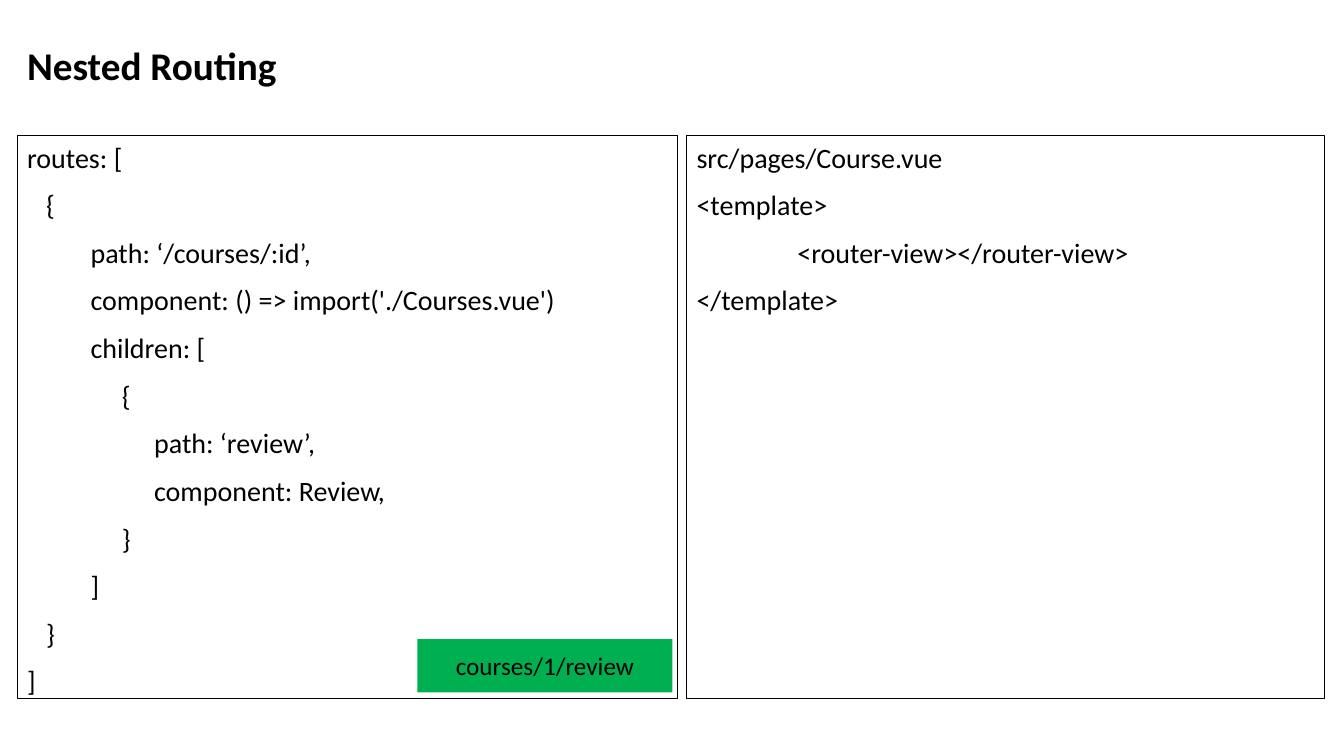
import pptx
import pptx.dml.color
import pptx.enum.shapes
import pptx.enum.text
import pptx.util

Inches = pptx.util.Inches
Pt = pptx.util.Pt
ANCHOR = pptx.enum.text.MSO_ANCHOR
ALIGN = pptx.enum.text.PP_ALIGN

BLACK = "000000"
GREEN = "00B050"
PANEL_TOP, PANEL_HEIGHT = 1.34, 5.59

# Each code line is (indent in inches, text)
BRACE, FIELD, CHILD, CHILD_FIELD = 0.19, 0.63, 0.94, 1.26
ROUTES = [
    (0, "routes: ["),
    (BRACE, "{"),
    (FIELD, "path: ‘/courses/:id’,"),
    (FIELD, "component: () => import('./Courses.vue')"),
    (FIELD, "children: ["),
    (CHILD, "{"),
    (CHILD_FIELD, "path: ‘review’,"),
    (CHILD_FIELD, "component: Review,"),
    (CHILD, "}"),
    (FIELD, "]"),
    (BRACE, "}"),
    (0, "]"),
]
COURSE_PAGE = [
    (0, "src/pages/Course.vue"),
    (0, "<template>"),
    (1, "<router-view></router-view>"),
    (0, "</template>"),
]


def color(value):
    return pptx.dml.color.RGBColor.from_string(value)


def format_text(paragraph, size, bold=False):
    for span in paragraph.runs:
        span.font.name = "Calibri"
        span.font.size = Pt(size)
        span.font.bold = bold
        span.font.color.rgb = color(BLACK)


def add_rectangle(page, left, top, width, height):
    box = page.shapes.add_shape(
        pptx.enum.shapes.MSO_SHAPE.RECTANGLE,
        Inches(left), Inches(top), Inches(width), Inches(height))
    box.shadow.inherit = False
    box.text_frame.word_wrap = True
    return box


def add_title(page, left, top, width, height, text):
    box = page.shapes.add_textbox(
        Inches(left), Inches(top), Inches(width), Inches(height))
    frame = box.text_frame
    frame.word_wrap = True
    frame.vertical_anchor = ANCHOR.MIDDLE
    frame.text = text
    frame.paragraphs[0].line_spacing = 0.9
    format_text(frame.paragraphs[0], 28, bold=True)


def add_code_panel(page, left, top, width, height, lines):
    box = add_rectangle(page, left, top, width, height)
    box.fill.background()
    box.line.color.rgb = color(BLACK)
    box.line.width = Pt(0.25)
    frame = box.text_frame
    frame.vertical_anchor = ANCHOR.TOP
    frame.text = "\n".join(text for indent, text in lines)
    for paragraph, (indent, text) in zip(frame.paragraphs, lines):
        paragraph.alignment = ALIGN.LEFT
        paragraph.space_before = Pt(10)
        properties = paragraph._p.get_or_add_pPr()
        properties.set("marL", str(Inches(indent)))
        properties.set("indent", "0")
        format_text(paragraph, 20)


def add_address_label(page, left, top, width, height, text):
    box = add_rectangle(page, left, top, width, height)
    box.fill.solid()
    box.fill.fore_color.rgb = color(GREEN)
    box.line.fill.background()
    frame = box.text_frame
    frame.vertical_anchor = ANCHOR.MIDDLE
    frame.text = text
    frame.paragraphs[0].alignment = ALIGN.CENTER
    format_text(frame.paragraphs[0], 18)


deck = pptx.Presentation()
deck.slide_width, deck.slide_height = Inches(13.33), Inches(7.5)
page = deck.slides.add_slide(deck.slide_layouts[6])

add_title(page, 0.17, 0.4, 13, 0.55, "Nested Routing")
add_code_panel(page, 6.81, PANEL_TOP, 6.32, PANEL_HEIGHT, COURSE_PAGE)
add_code_panel(page, 0.17, PANEL_TOP, 6.55, PANEL_HEIGHT, ROUTES)
add_address_label(page, 4.14, 6.34, 2.53, 0.53, "courses/1/review")

deck.save("out.pptx")
